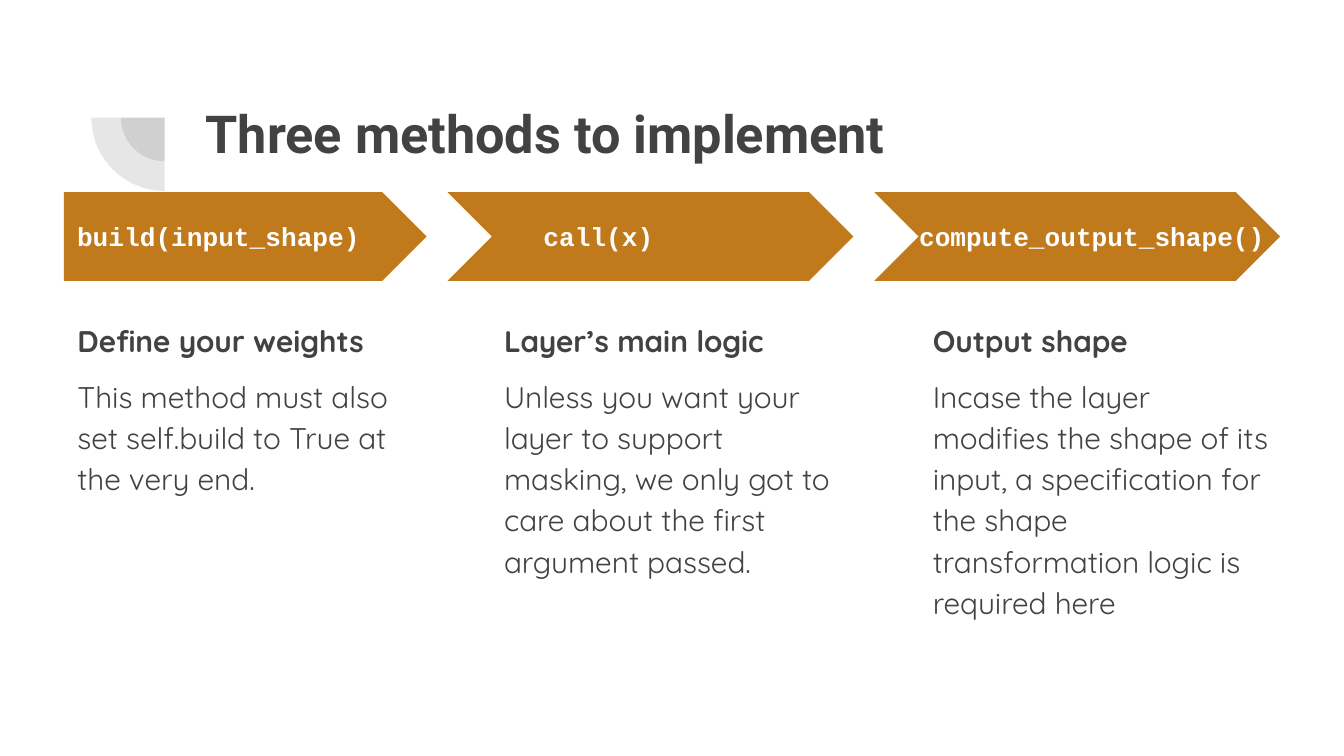
from dataclasses import dataclass

from lxml import etree
from pptx import Presentation
from pptx.dml.color import RGBColor
from pptx.enum import shapes, text
from pptx.oxml.ns import qn
from pptx.util import Pt

PX = 4572
GRAY = RGBColor(0x42, 0x42, 0x42)
GOLD = RGBColor(0xC0, 0x79, 0x1B)
WHITE = RGBColor(0xFF, 0xFF, 0xFF)
KIND = shapes.MSO_SHAPE


@dataclass(frozen=True)
class Box:
    x: int
    y: int
    w: int
    h: int

    def emu(self) -> list[int]:
        return [n * PX for n in (self.x, self.y, self.w, self.h)]


@dataclass(frozen=True)
class Step:
    kind: KIND
    arrow: Box
    label: Box
    left: int
    code: str
    head: str
    note: str


STEPS = [
    Step(KIND.PENTAGON, Box(95, 286, 540, 132), Box(95, 318, 494, 68), 95,
         "build(input_shape)", "Define your weights",
         "This method must also set self.build to True at the very end."),
    Step(KIND.CHEVRON, Box(666, 286, 604, 132), Box(789, 318, 404, 68), 730,
         "call(x)", "Layer’s main logic",
         "Unless you want your layer to support masking, we only got to "
         "care about the first argument passed."),
    Step(KIND.CHEVRON, Box(1301, 286, 604, 132), Box(1348, 318, 556, 68), 1368,
         "compute_output_shape()", "Output shape",
         "Incase the layer modifies the shape of its input, a specification "
         "for the shape transformation logic is required here"),
]


def place(item, box: Box) -> None:
    item.left, item.top, item.width, item.height = box.emu()


def frame(item, anchor=text.MSO_ANCHOR.TOP):
    body = item.text_frame
    body.word_wrap = True
    body.auto_size = text.MSO_AUTO_SIZE.NONE
    body.vertical_anchor = anchor
    body.margin_left = body.margin_right = 20 * PX
    body.margin_top = body.margin_bottom = 20 * PX
    return body


def style(para, face: str, size: int, color: RGBColor, bold: bool = True) -> None:
    para.alignment = text.PP_ALIGN.LEFT
    font = para.font
    font.name, font.size, font.bold = face, Pt(size), bold
    font.color.rgb = color


def plain(para) -> None:
    props = para._p.get_or_add_pPr()
    props.set("marL", "0")
    props.set("indent", "0")
    etree.SubElement(props, qn("a:buNone"))


def solid(slide, kind: KIND, box: Box, color: RGBColor):
    item = slide.shapes.add_shape(kind, *box.emu())
    item.shadow.inherit = False
    item.fill.solid()
    item.fill.fore_color.rgb = color
    item.line.fill.background()
    return item


def wedge(slide, radius: int) -> None:
    box = Box(245 - radius, 175 - radius, 2 * radius, 2 * radius)
    item = solid(slide, KIND.PIE, box, GRAY)
    item.adjustments[0] = 54
    item.adjustments[1] = 108
    tint = item.fill._xPr.find(".//" + qn("a:srgbClr"))
    etree.SubElement(tint, qn("a:alpha")).set("val", "13000")


def label(slide, step: Step) -> None:
    item = slide.shapes.add_textbox(*step.label.emu())
    para = frame(item, text.MSO_ANCHOR.MIDDLE).paragraphs[0]
    para.text = step.code
    style(para, "Courier New", 14, WHITE)


def detail(item, step: Step) -> None:
    place(item, Box(step.left, 452, 540, 580))
    body = frame(item)
    body.text = f"{step.head}\n{step.note}"
    for para, gap, bold in zip(body.paragraphs, (0, 8), (True, False)):
        plain(para)
        para.line_spacing = 1.15
        para.space_before = para.space_after = Pt(gap)
        style(para, "Quicksand", 16, GRAY, bold)


def main() -> None:
    deck = Presentation()
    deck.slide_width, deck.slide_height = 2000 * PX, 1125 * PX
    slide = deck.slides.add_slide(deck.slide_layouts[4])
    title, *bodies, spare = slide.placeholders
    spare.element.getparent().remove(spare.element)

    for radius in (65, 109):
        wedge(slide, radius)

    place(title, Box(286, 130, 1538, 218))
    para = frame(title).paragraphs[0]
    para.text = "Three methods to implement"
    style(para, "Roboto", 28, GRAY)

    for step, body in zip(STEPS, bodies):
        solid(slide, step.kind, step.arrow, GOLD)
        label(slide, step)
        detail(body, step)
    deck.save("out.pptx")


if __name__ == "__main__":
    main()
